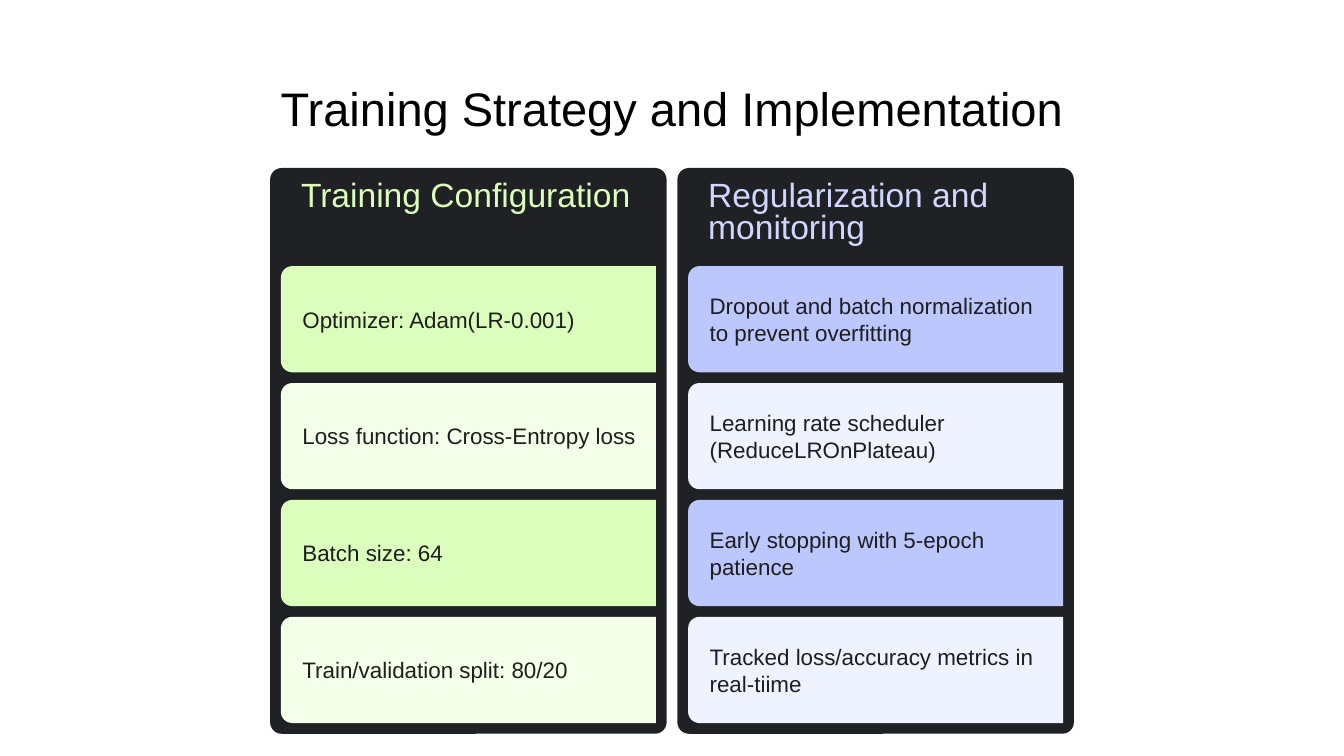
from collections import namedtuple

from pptx import Presentation
from pptx.dml.color import RGBColor
from pptx.enum.shapes import MSO_SHAPE
from pptx.enum.text import MSO_ANCHOR, MSO_AUTO_SIZE, PP_ALIGN
from pptx.util import Inches, Pt

Box = namedtuple("Box", "left top width height")

# A 16:9 slide, in inches
SLIDE_WIDTH = 10
SLIDE_HEIGHT = SLIDE_WIDTH * 9 / 16
FONT = "Arial"
BLACK = RGBColor(0x00, 0x00, 0x00)
PANEL = RGBColor(0x20, 0x21, 0x24)
INK = RGBColor(0x1E, 0x1E, 0x1E)
GREEN = RGBColor(0xDB, 0xFE, 0xBC)
PALE_GREEN = RGBColor(0xF4, 0xFF, 0xEA)
LAVENDER = RGBColor(0xD0, 0xD7, 0xFF)
BLUE = RGBColor(0xBC, 0xC7, 0xFE)
PALE_BLUE = RGBColor(0xEF, 0xF2, 0xFF)

# Panel grid, in inches
FIRST_PANEL = Box(2.01, 1.25, 2.95, 4.21)
PANEL_PITCH = 3.03
PADDING = 0.08
HEADER_HEIGHT = 0.73
BAR_HEIGHT = 0.79
ROW_PITCH = BAR_HEIGHT + PADDING

PANELS = [
    ("Training Configuration", GREEN, (GREEN, PALE_GREEN), [
        "Optimizer: Adam(LR-0.001)",
        "Loss function: Cross-Entropy loss",
        "Batch size: 64",
        "Train/validation split: 80/20",
    ]),
    ("Regularization and monitoring", LAVENDER, (BLUE, PALE_BLUE), [
        "Dropout and batch normalization to prevent overfitting",
        "Learning rate scheduler (ReduceLROnPlateau)",
        "Early stopping with 5-epoch patience",
        "Tracked loss/accuracy metrics in real-tiime",
    ]),
]


def set_attributes(target, values):
    for name, value in values.items():
        setattr(target, name, value)


def place(shape, box):
    set_attributes(shape, {name: Inches(value) for name, value in box._asdict().items()})


def write_text(shape, text, size, color, margins, anchor=MSO_ANCHOR.TOP, **paragraph_format):
    frame = shape.text_frame
    frame.text = text
    sides = ("margin_left", "margin_top", "margin_right", "margin_bottom")
    set_attributes(frame, {side: Inches(margin) for side, margin in zip(sides, margins)})
    set_attributes(frame, {"word_wrap": True, "auto_size": MSO_AUTO_SIZE.NONE,
                           "vertical_anchor": anchor})
    paragraph = frame.paragraphs[0]
    set_attributes(paragraph, paragraph_format)
    set_attributes(paragraph.font, {"name": FONT, "size": Pt(size)})
    paragraph.font.color.rgb = color


def add_text(slide, box, *text_values, **text_format):
    shape = slide.shapes.add_textbox(*map(Inches, box))
    write_text(shape, *text_values, **text_format)


def add_block(slide, kind, box, color, adjustments):
    shape = slide.shapes.add_shape(kind, *map(Inches, box))
    shape.shadow.inherit = False
    shape.fill.solid()
    shape.fill.fore_color.rgb = color
    shape.line.fill.background()
    for index, value in enumerate(adjustments):
        shape.adjustments[index] = value
    return shape


def add_title(slide, box):
    title = slide.shapes.title
    place(title, box)
    write_text(title, "Training Strategy and Implementation", 25.2, BLACK, (0.1,) * 4,
               anchor=MSO_ANCHOR.TOP, alignment=PP_ALIGN.CENTER)


def add_row(slide, box, text, color):
    # The bar is drawn upright, then turned so its round corners face left
    upright = Box(box.left + (box.width - box.height) / 2,
                  box.top + (box.height - box.width) / 2, box.height, box.width)
    bar = add_block(slide, MSO_SHAPE.ROUND_2_SAME_RECTANGLE, upright, color, (0.106, 0))
    bar.rotation = 270
    label = Box(box.left + 2 * PADDING, box.top + (box.height - 0.5) / 2, 2.51, 0.5)
    add_text(slide, label, text, 12, INK, (0,) * 4, anchor=MSO_ANCHOR.MIDDLE)


def add_panel(slide, box, heading, heading_color, bar_colors, rows):
    add_block(slide, MSO_SHAPE.ROUNDED_RECTANGLE, box, PANEL, (0.029,))
    heading_box = Box(box.left + 0.23, box.top + 0.1, 2.64, 0.63)
    add_text(slide, heading_box, heading, 18, heading_color, (0, 0, 0.1, 0.1),
             line_spacing=0.8)
    for index, text in enumerate(rows):
        row_box = Box(box.left + PADDING, box.top + HEADER_HEIGHT + index * ROW_PITCH,
                      box.width - 2 * PADDING, BAR_HEIGHT)
        add_row(slide, row_box, text, bar_colors[index % 2])


def main():
    presentation = Presentation()
    presentation.slide_width = Inches(SLIDE_WIDTH)
    presentation.slide_height = Inches(SLIDE_HEIGHT)
    slide = presentation.slides.add_slide(presentation.slide_layouts[5])

    add_title(slide, Box(0.34, 0.49, SLIDE_WIDTH - 2 * 0.34, 0.63))

    # Two panels side by side
    for index, content in enumerate(PANELS):
        box = FIRST_PANEL._replace(left=FIRST_PANEL.left + index * PANEL_PITCH)
        add_panel(slide, box, *content)

    presentation.save("out.pptx")


if __name__ == "__main__":
    main()
